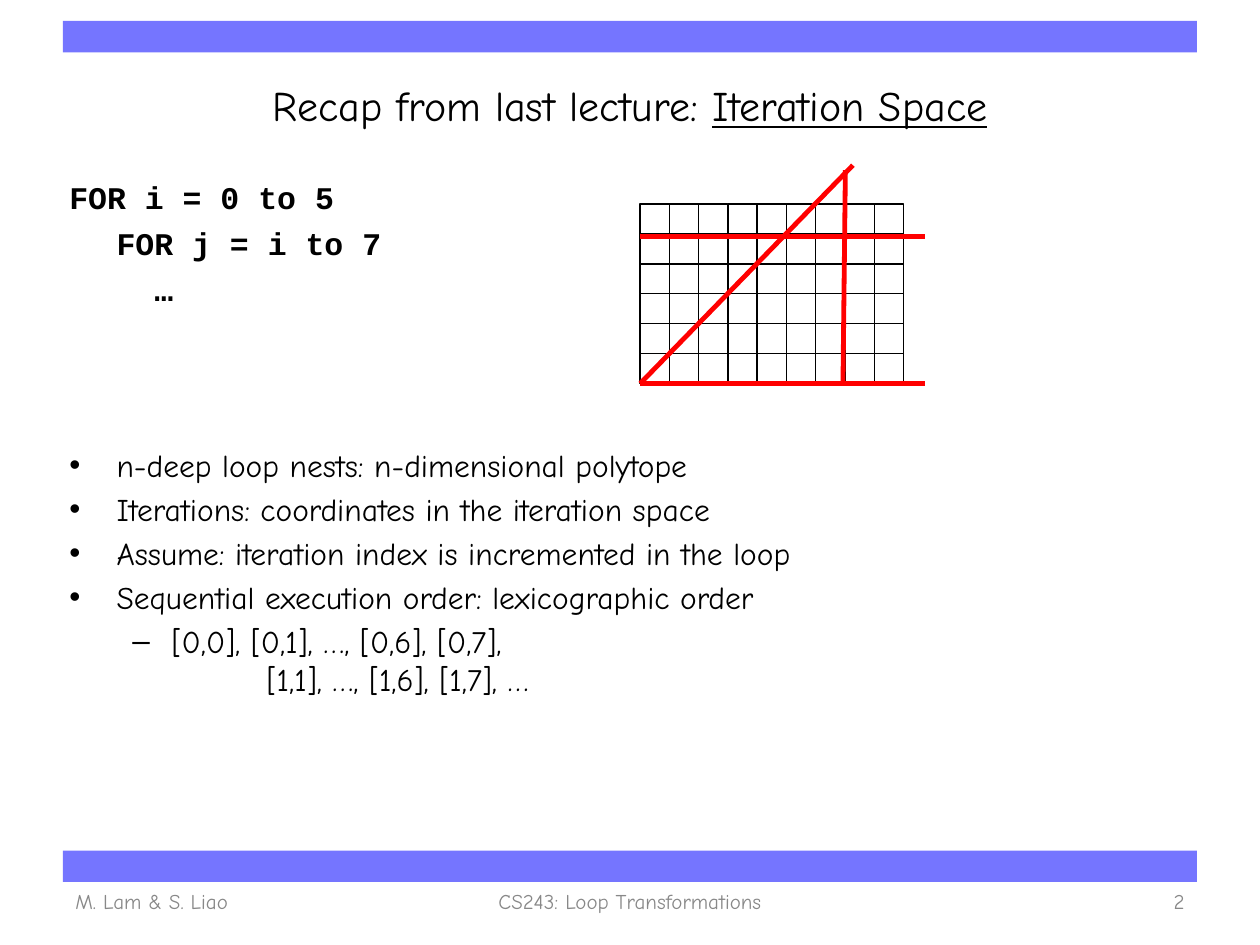
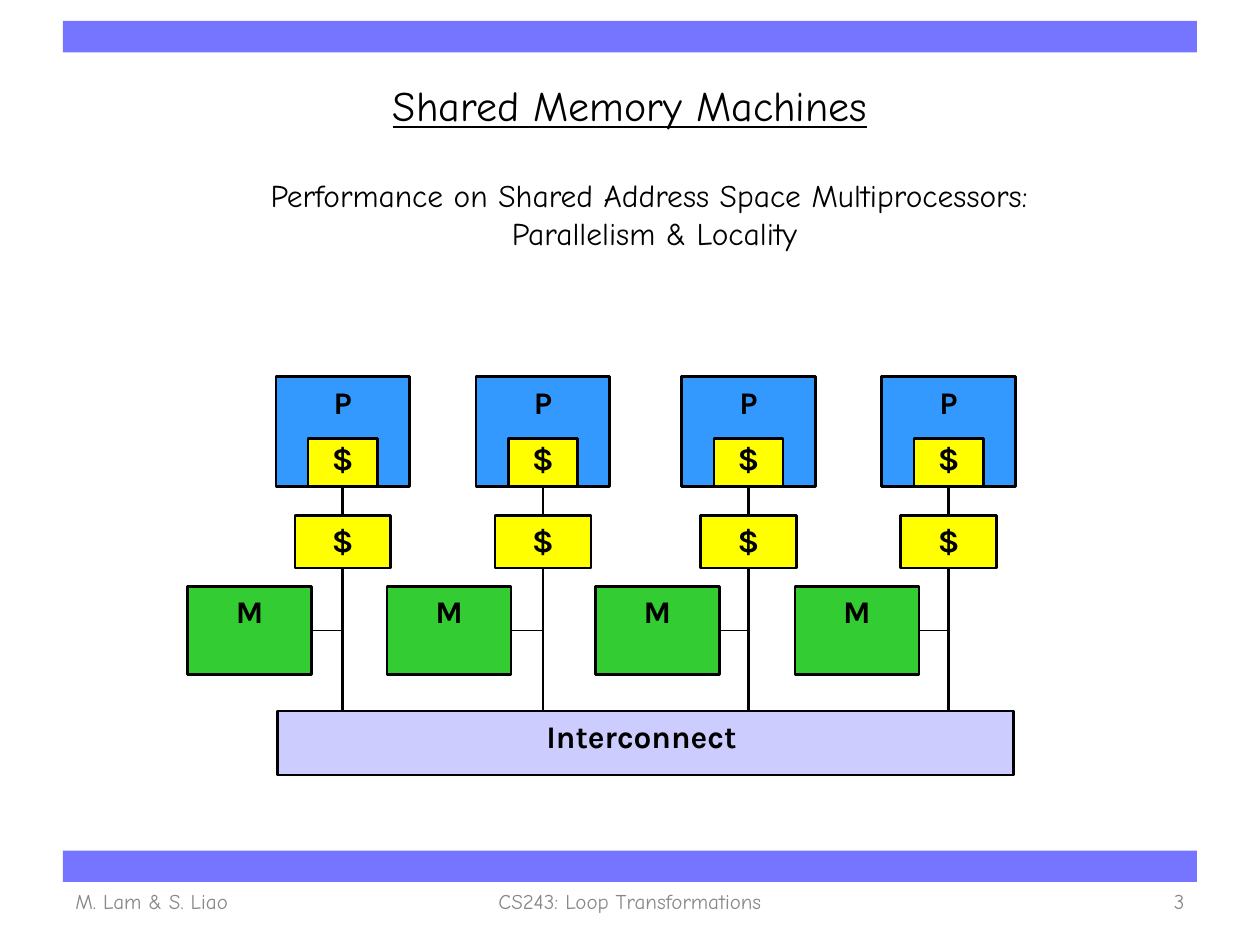
from typing import NamedTuple, Optional

from lxml.etree import SubElement
from pptx import Presentation
from pptx.dml.color import RGBColor
from pptx.enum.shapes import MSO_CONNECTOR as Link, MSO_SHAPE as Kind
from pptx.enum.text import MSO_ANCHOR as Anchor, MSO_AUTO_SIZE as Fit, PP_ALIGN as Align
from pptx.oxml.ns import qn
from pptx.shapes.autoshape import Shape
from pptx.shapes.connector import Connector
from pptx.slide import Slide
from pptx.util import Pt

BLACK = RGBColor(0x00, 0x00, 0x00)
GREY = RGBColor(0x88, 0x88, 0x88)
BAND = RGBColor(0x75, 0x75, 0xFF)
RED = RGBColor(0xFF, 0x00, 0x00)
BLUE = RGBColor(0x33, 0x99, 0xFF)
YELLOW = RGBColor(0xFF, 0xFF, 0x00)
GREEN = RGBColor(0x33, 0xCC, 0x33)
LILAC = RGBColor(0xCC, 0xCC, 0xFF)

HAND = "Comic Neue"
CODE = "Courier New"
LABEL = "Karla"


class Box(NamedTuple):
    x: float
    y: float
    w: float
    h: float


class Style(NamedTuple):
    font: str = HAND
    size: float = 18
    color: RGBColor = BLACK
    bold: bool = False
    under: bool = False


class Item(NamedTuple):
    text: str
    style: Style = Style()
    left: float = 27
    hang: float = 0
    gap: float = 3.6
    level: int = 0


class Foot(NamedTuple):
    x: float
    w: float
    align: Align


class Wire(NamedTuple):
    x1: float
    y1: float
    x2: float
    y2: float


class Node(NamedTuple):
    mid: float
    store: float


TITLE = Style(size=24)
TOPIC = TITLE._replace(under=True)
NOTE = Style(size=12, color=GREY)
LOOP = Style(CODE, bold=True)
TAG = Style(LABEL, bold=True)

BANDS = (Box(36, 12, 648, 18), Box(36, 486, 648, 18))
FEET = (Foot(36, 168, Align.LEFT), Foot(246, 228, Align.CENTER), Foot(516, 168, Align.RIGHT))

ITEMS = (
    Item("FOR i = 0 to 5", LOOP, left=0, gap=0),
    Item("FOR j = i to 7", LOOP, gap=4.7),
    Item("…", LOOP, left=48.6, gap=4.7),
    Item("n-deep loop nests: n-dimensional polytope", hang=-27, gap=79),
    Item("Iterations: coordinates in the iteration space", hang=-27),
    Item("Assume: iteration index is incremented in the loop", hang=-27),
    Item("Sequential execution order: lexicographic order", hang=-27),
    Item("[0,0], [0,1], …, [0,6], [0,7],", left=58.5, hang=-22.5, level=1),
    Item("[1,1], …, [1,6], [1,7], …", left=112.8, gap=0, level=1),
)

GRID = Box(365.8, 116.6, 150.5, 102.6)
COLS, ROWS = 9, 6
BASE = GRID.y + GRID.h
BOUNDS = (
    Wire(GRID.x, BASE, 528.5, BASE),
    Wire(GRID.x, 135.2, 528.5, 135.2),
    Wire(GRID.x, BASE, 487.4, 94.4),
    Wire(481.7, BASE, 483.1, 97.2),
)

NODES = (Node(195.9, 107.2), Node(310.3, 221.2), Node(427.7, 340.2), Node(542.1, 454.2))
BUS = Box(158.5, 406.2, 420.7, 36.7)


def write(para, text: str, style: Style) -> None:
    run = para.add_run()
    run.text = text
    font = run.font
    font.name, font.size, font.bold = style.font, Pt(style.size), style.bold
    font.underline = style.under
    font.color.rgb = style.color


def place(shape: Shape, box: Box, anchor: Anchor) -> None:
    shape.left, shape.top, shape.width, shape.height = map(Pt, box)
    frame = shape.text_frame
    frame.word_wrap = True
    frame.auto_size = Fit.NONE
    frame.vertical_anchor = anchor


def indent(para, left: float, hang: float) -> None:
    props = para._p.get_or_add_pPr()
    props.set("marL", str(Pt(left)))
    props.set("indent", str(Pt(hang)))
    if not hang:
        SubElement(props, qn("a:buNone"))


def block(slide: Slide, box: Box, fill: Optional[RGBColor] = None, edge: float = 0,
          text: str = "", pitch: float = 1) -> Shape:
    shape = slide.shapes.add_shape(Kind.RECTANGLE, *map(Pt, box))
    shape.shadow.inherit = False
    if fill is None:
        shape.fill.background()
    else:
        shape.fill.solid()
        shape.fill.fore_color.rgb = fill
    if edge:
        shape.line.color.rgb = BLACK
        shape.line.width = Pt(edge)
    else:
        shape.line.fill.background()
    if text:
        place(shape, box, Anchor.TOP)
        para = shape.text_frame.paragraphs[0]
        para.alignment = Align.CENTER
        para.line_spacing = pitch
        write(para, text, TAG)
    return shape


def draw(slide: Slide, wire: Wire, color: RGBColor, width: float) -> Connector:
    line = slide.shapes.add_connector(Link.STRAIGHT, *map(Pt, wire))
    line.line.color.rgb = color
    line.line.width = Pt(width)
    SubElement(line._element.spPr, qn("a:effectLst"))
    return line


def start(deck, number: int, *title: tuple[str, Style]) -> Slide:
    slide = deck.slides.add_slide(deck.slide_layouts[1])
    head = slide.shapes.title
    place(head, Box(36, 36, 648, 48), Anchor.MIDDLE)
    para = head.text_frame.paragraphs[0]
    para.alignment = Align.CENTER
    for text, style in title:
        write(para, text, style)
    words = ("M. Lam & S. Liao", "CS243: Loop Transformations", str(number))
    for foot, text in zip(FEET, words):
        box = Box(foot.x, 500.4, foot.w, 28.8)
        note = slide.shapes.add_textbox(*map(Pt, box))
        place(note, box, Anchor.MIDDLE)
        para = note.text_frame.paragraphs[0]
        para.alignment = foot.align
        write(para, text, NOTE)
    return slide


def add_bands(deck, slide: Slide) -> None:
    tree = deck.slide_master.shapes._spTree
    for box in BANDS:
        tree.insert(2, block(slide, box, BAND)._element)


def fill_space(slide: Slide) -> None:
    body = slide.placeholders[1]
    place(body, Box(32.4, 97.9, 672.5, 385.2), Anchor.TOP)
    frame = body.text_frame
    for rank, item in enumerate(ITEMS):
        para = frame.add_paragraph() if rank else frame.paragraphs[0]
        para.level = item.level
        para.space_before = Pt(item.gap)
        indent(para, item.left, item.hang)
        write(para, item.text, item.style)
    wide, high = GRID.w / COLS, GRID.h / ROWS
    for row in range(ROWS):
        for col in range(COLS):
            block(slide, Box(GRID.x + col * wide, GRID.y + row * high, wide, high), edge=0.75)
    for wire in BOUNDS:
        draw(slide, wire, RED, 2.75)


def add_node(slide: Slide, node: Node) -> None:
    mid = node.mid
    chip = block(slide, Box(mid - 38.2, 215.2, 76.4, 62.8), BLUE, 1.5, "P")
    block(slide, Box(mid - 19.8, 250.7, 39.6, 27.3), YELLOW, 1.5, "$", 0.85)
    cache = block(slide, Box(mid - 27.4, 294.4, 54.8, 30.2), YELLOW, 1.5, "$")
    store = block(slide, Box(node.store, 335, 70.9, 50.4), GREEN, 1.5, "M")
    link = draw(slide, Wire(mid, 278, mid, 294.4), BLACK, 1.5)
    link.begin_connect(chip, 2)
    link.end_connect(cache, 0)
    trunk = draw(slide, Wire(mid, 324.6, mid, BUS.y), BLACK, 1.5)
    trunk.begin_connect(cache, 2)
    stub = draw(slide, Wire(node.store + 70.9, 360.2, mid, 360.2), BLACK, 0.75)
    stub.begin_connect(store, 3)


def fill_shared(slide: Slide) -> None:
    body = slide.placeholders[1]
    place(body, Box(69.8, 97.2, 608.4, 167), Anchor.TOP)
    para = body.text_frame.paragraphs[0]
    para.alignment = Align.CENTER
    para.space_before = Pt(0)
    indent(para, 0, 0)
    write(para, "Performance on Shared Address Space Multiprocessors: ", Style())
    para.add_line_break()
    write(para, "Parallelism & Locality", Style())
    for node in NODES:
        add_node(slide, node)
    block(slide, BUS, LILAC, 1.5, "Interconnect ")


def main() -> None:
    deck = Presentation()
    deck.slide_width, deck.slide_height = Pt(720), Pt(540)
    space = start(deck, 2, ("Recap from last lecture: ", TITLE), ("Iteration Space", TOPIC))
    add_bands(deck, space)
    fill_space(space)
    fill_shared(start(deck, 3, ("Shared Memory Machines", TOPIC)))
    deck.save("out.pptx")


if __name__ == "__main__":
    main()
